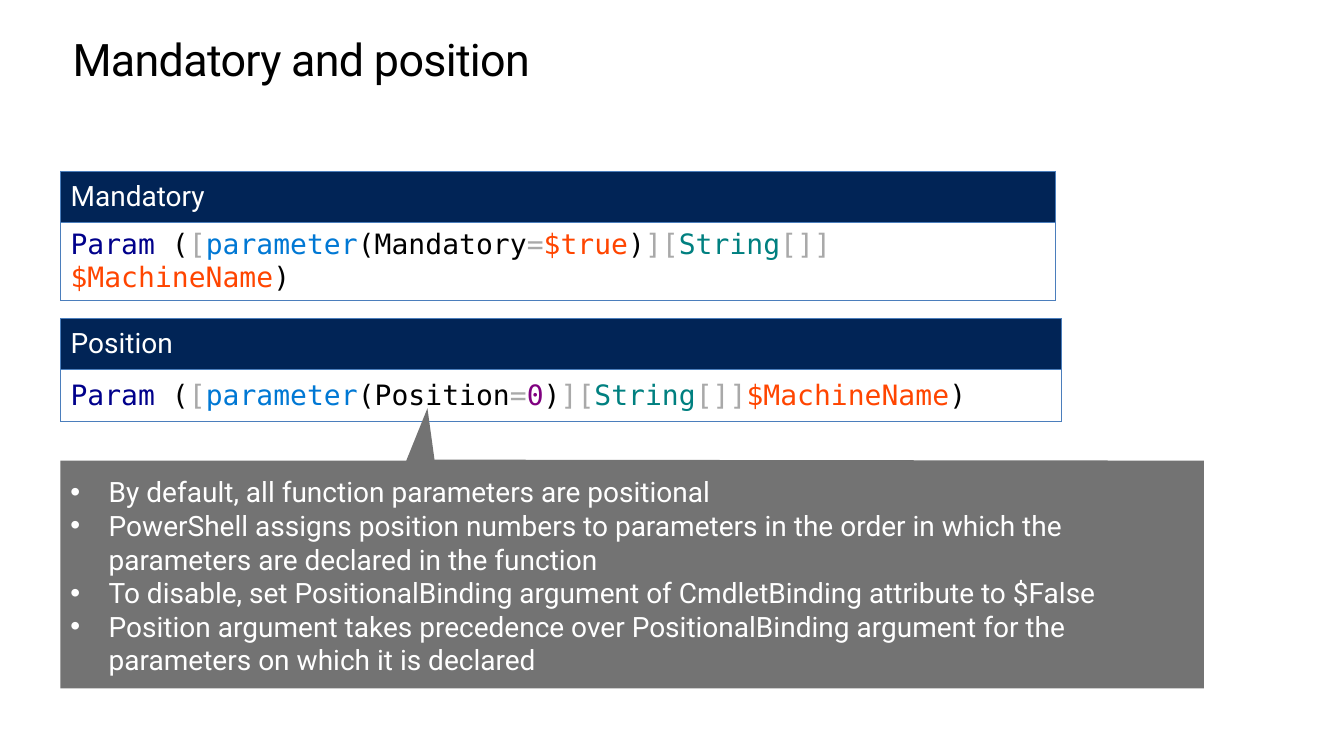
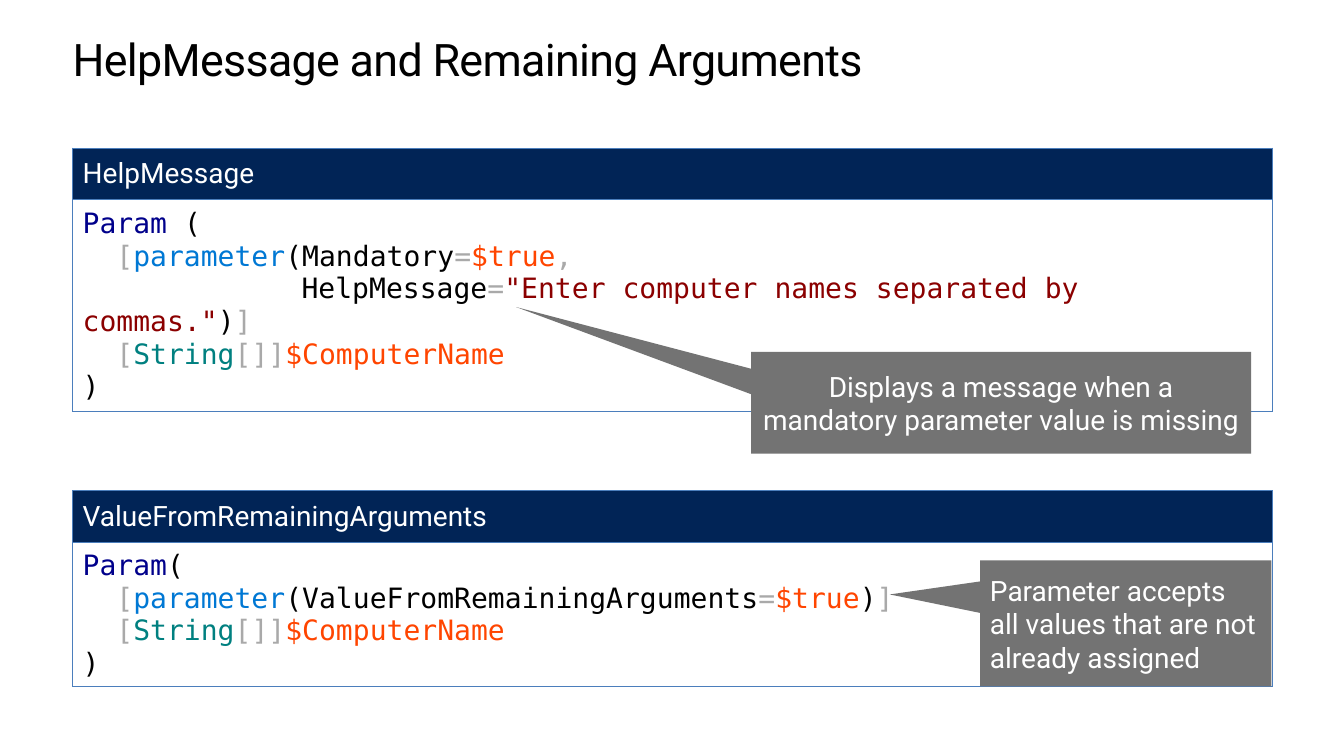
"""Build two slides on PowerShell parameter arguments."""
from dataclasses import dataclass

from lxml.etree import SubElement
from pptx import Presentation
from pptx.dml.color import RGBColor
from pptx.enum.shapes import MSO_SHAPE
from pptx.enum.text import MSO_ANCHOR, PP_ALIGN
from pptx.oxml.ns import qn
from pptx.util import Inches, Pt


@dataclass(frozen=True)
class Theme:
    text_font: str = "Roboto"
    code_font: str = "DejaVu Sans Mono"
    title_size: float = 32
    title_leading: float = 36.2
    body_size: float = 20
    border_width: float = 0.75
    code_character: float = 0.167
    black: str = "000000"
    white: str = "FFFFFF"
    navy: str = "012456"
    border: str = "4B7EBC"
    callout: str = "737373"
    keyword: str = "00008B"
    bracket: str = "A9A9A9"
    attribute: str = "0078D4"
    variable: str = "FF4500"
    type_name: str = "008080"
    number: str = "800080"
    string: str = "8B0000"


THEME = Theme()


class SlideBuilder:
    def __init__(self, deck, theme):
        self.deck = deck
        self.theme = theme
        self.slide = None

    def add_slide(self, title):
        self.slide = self.deck.slides.add_slide(self.deck.slide_layouts[6])
        box = self.slide.shapes.add_textbox(
            Inches(0.72), Inches(0.35), Inches(11.9), Inches(0.5))
        frame = box.text_frame
        frame.word_wrap = True
        frame.margin_left = frame.margin_top = 0
        frame.margin_right = frame.margin_bottom = 0
        para = frame.paragraphs[0]
        para.line_spacing = Pt(self.theme.title_leading)
        span = self.add_span(para, title, self.theme.black, self.theme.title_size)
        span.font._element.set("spc", "-50")

    def add_span(self, para, text, color, size=None, font=None):
        span = para.add_run()
        span.text = text
        span.font.name = font or self.theme.text_font
        span.font.size = Pt(size or self.theme.body_size)
        span.font.color.rgb = RGBColor.from_string(color)
        return span

    def paragraphs(self, frame, items):
        for index, item in enumerate(items):
            yield frame.add_paragraph() if index else frame.paragraphs[0], item

    def style_cell(self, cell, fill):
        properties = cell._tc.get_or_add_tcPr()
        for side in ("a:lnL", "a:lnR", "a:lnT", "a:lnB"):
            line = SubElement(properties, qn(side), w=str(Pt(self.theme.border_width)))
            solid = SubElement(line, qn("a:solidFill"))
            SubElement(solid, qn("a:srgbClr"), val=self.theme.border)
        cell.fill.solid()
        cell.fill.fore_color.rgb = RGBColor.from_string(fill)
        cell.vertical_anchor = MSO_ANCHOR.MIDDLE

    def add_code_table(self, left, top, width, heading, lines):
        row_height = Inches(0.51)
        table = self.slide.shapes.add_table(
            2, 1, Inches(left), Inches(top), Inches(width), 2 * row_height).table
        table.first_row = table.horz_banding = False
        header, body = table.cell(0, 0), table.cell(1, 0)
        self.style_cell(header, self.theme.navy)
        self.style_cell(body, self.theme.white)
        self.add_span(header.text_frame.paragraphs[0], heading, self.theme.white)
        for para, (indent, tokens) in self.paragraphs(body.text_frame, lines):
            if indent:
                first_line = Inches(indent * self.theme.code_character)
                properties = para._p.get_or_add_pPr()
                properties.set("marL", "0")
                properties.set("indent", str(first_line))
            for text, color in tokens:
                self.add_span(para, text, color, font=self.theme.code_font)

    def style_callout(self, shape):
        shape.shadow.inherit = False
        shape.fill.solid()
        shape.fill.fore_color.rgb = RGBColor.from_string(self.theme.callout)
        shape.line.fill.background()
        frame = shape.text_frame
        frame.word_wrap = True
        frame.vertical_anchor = MSO_ANCHOR.MIDDLE
        return frame

    def add_callout(self, left, top, width, height, tip, text, align):
        shape = self.slide.shapes.add_shape(
            MSO_SHAPE.RECTANGULAR_CALLOUT,
            Inches(left), Inches(top), Inches(width), Inches(height))
        shape.adjustments[0], shape.adjustments[1] = tip
        para = self.style_callout(shape).paragraphs[0]
        para.alignment = align
        self.add_span(para, text, self.theme.white)

    def add_bullet_callout(self, left, top, right, bottom, pointer, bullets):
        corners = [*pointer, (right, top), (right, bottom), (left, bottom)]
        outline = self.slide.shapes.build_freeform(Inches(left), Inches(top))
        outline.add_line_segments([(Inches(x), Inches(y)) for x, y in corners])
        frame = self.style_callout(outline.convert_to_shape())
        frame.margin_top = Inches(0.59)
        for para, text in self.paragraphs(frame, bullets):
            para.alignment = PP_ALIGN.LEFT
            properties = para._p.get_or_add_pPr()
            properties.set("marL", str(Inches(0.38)))
            properties.set("indent", str(Inches(-0.38)))
            SubElement(properties, qn("a:buFont"), typeface="Arial")
            SubElement(properties, qn("a:buChar"), char="•")
            self.add_span(para, text, self.theme.white)


def attribute_tokens(argument, value, color):
    return [("[", THEME.bracket), ("parameter", THEME.attribute),
            ("(" + argument, THEME.black), ("=", THEME.bracket), (value, color)]


def typed_variable(name):
    return [("[", THEME.bracket), ("String", THEME.type_name),
            ("[]]", THEME.bracket), (name, THEME.variable)]


def one_line_param(argument, value, color):
    return [(0, [("Param ", THEME.keyword), ("(", THEME.black),
                 *attribute_tokens(argument, value, color),
                 (")", THEME.black), ("]", THEME.bracket),
                 *typed_variable("$MachineName"), (")", THEME.black)])]


def block_param(opening, attribute_lines):
    return [(0, [("Param", THEME.keyword), (opening, THEME.black)]),
            *attribute_lines,
            (2, typed_variable("$ComputerName")),
            (0, [(")", THEME.black)])]


def build_mandatory_slide(builder):
    builder.add_slide("Mandatory and position")
    builder.add_code_table(0.6, 1.7, 9.87, "Mandatory",
                           one_line_param("Mandatory", "$true", THEME.variable))
    builder.add_code_table(0.6, 3.16, 9.93, "Position",
                           one_line_param("Position", "0", THEME.number))
    builder.add_bullet_callout(
        0.6, 4.57, 11.94, 6.83, [(4.03, 4.57), (4.24, 4.05), (4.31, 4.56)],
        ["By default, all function parameters are positional",
         "PowerShell assigns position numbers to parameters in the order in which "
         "the parameters are declared in the function",
         "To disable, set PositionalBinding argument of CmdletBinding attribute to $False",
         "Position argument takes precedence over PositionalBinding argument for the "
         "parameters on which it is declared"])


def build_help_slide(builder):
    closing = [(")", THEME.black), ("]", THEME.bracket)]
    help_lines = [
        (2, attribute_tokens("Mandatory", "$true", THEME.variable)
         + [(",", THEME.bracket)]),
        (13, [("HelpMessage", THEME.black), ("=", THEME.bracket),
              ('"Enter computer names separated by commas."', THEME.string),
              *closing])]
    remaining_lines = [
        (2, attribute_tokens("ValueFromRemainingArguments", "$true", THEME.variable)
         + closing)]
    builder.add_slide("HelpMessage and Remaining Arguments")
    builder.add_code_table(0.72, 1.47, 11.9, "HelpMessage",
                           block_param(" (", help_lines))
    builder.add_code_table(0.72, 4.87, 11.9, "ValueFromRemainingArguments",
                           block_param("(", remaining_lines))
    builder.add_callout(9.72, 5.56, 2.89, 1.25, (-0.81, -0.23),
                        "Parameter accepts all values that are not already assigned",
                        PP_ALIGN.LEFT)
    builder.add_callout(7.45, 3.49, 4.96, 1.01, (-0.97, -0.94),
                        "Displays a message when a mandatory parameter value is missing",
                        PP_ALIGN.CENTER)


def main():
    deck = Presentation()
    deck.slide_width, deck.slide_height = Inches(13.33), Inches(7.5)
    builder = SlideBuilder(deck, THEME)
    build_mandatory_slide(builder)
    build_help_slide(builder)
    deck.save("out.pptx")


if __name__ == "__main__":
    main()
